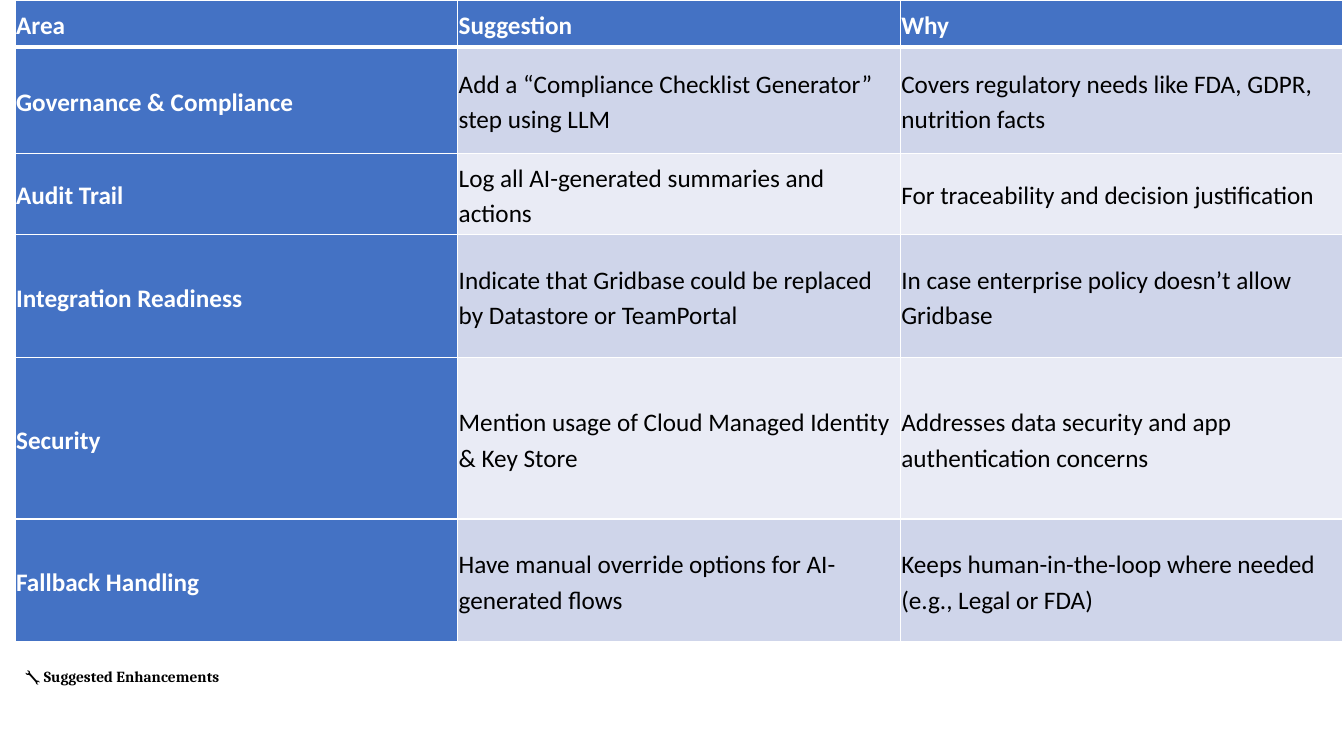
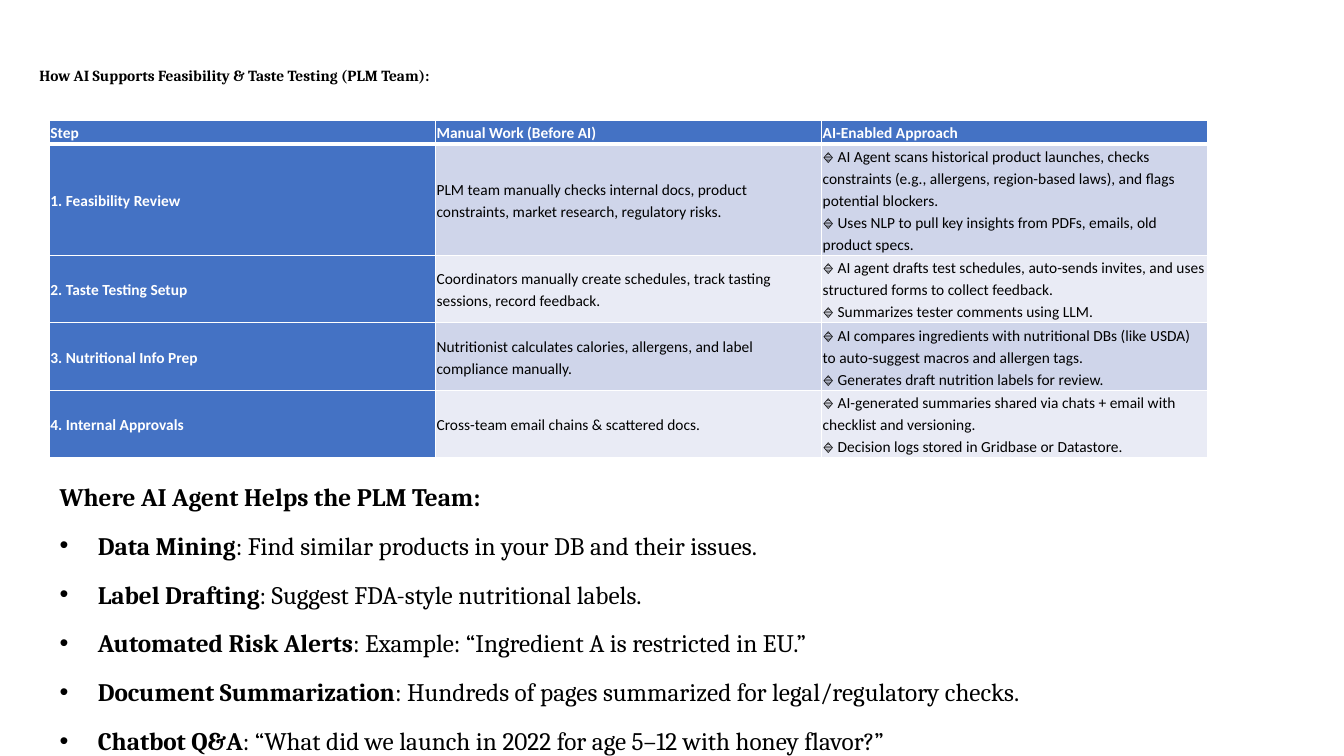
"""Build two slides about AI support for a product team."""
from lxml.etree import SubElement
from pptx import Presentation
from pptx.dml.color import RGBColor as Rgb
from pptx.enum.text import MSO_ANCHOR as Anchor, MSO_AUTO_SIZE as AutoSize, PP_ALIGN as Align
from pptx.oxml.ns import qn
from pptx.util import Inches, Pt

COLORS = {
    "header": "4472C4",
    "band_dark": "CFD5EA",
    "band_light": "E9EBF5",
    "white": "FFFFFF",
    "black": "000000",
}
TABLE_FONT, TEXT_FONT = "Calibri", "Cambria"
SLIDE_WIDTH, SLIDE_HEIGHT = 13.33, 7.5
LINE_SPACING = 1.15
CELL_INSET = 0.01
LIST_INDENT, LIST_TAB = 0.38, 0.5

ENHANCEMENTS = [
    ("Area", "Suggestion", "Why"),
    ("Governance & Compliance",
     "Add a “Compliance Checklist Generator” step using LLM",
     "Covers regulatory needs like FDA, GDPR, nutrition facts"),
    ("Audit Trail",
     "Log all AI-generated summaries and actions",
     "For traceability and decision justification"),
    ("Integration Readiness",
     "Indicate that Gridbase could be replaced by Datastore or TeamPortal",
     "In case enterprise policy doesn’t allow Gridbase"),
    ("Security",
     "Mention usage of Cloud Managed Identity & Key Store",
     "Addresses data security and app authentication concerns"),
    ("Fallback Handling",
     "Have manual override options for AI-generated flows",
     "Keeps human-in-the-loop where needed (e.g., Legal or FDA)"),
]

TESTING_STEPS = [
    ("Step", "Manual Work (Before AI)", "AI-Enabled Approach"),
    ("1. Feasibility Review",
     "PLM team manually checks internal docs, product constraints, market research, "
     "regulatory risks.",
     "🔹 AI Agent scans historical product launches, checks constraints (e.g., allergens, "
     "region-based laws), and flags potential blockers.\n"
     "🔹 Uses NLP to pull key insights from PDFs, emails, old product specs."),
    ("2. Taste Testing Setup",
     "Coordinators manually create schedules, track tasting sessions, record feedback.",
     "🔹 AI agent drafts test schedules, auto-sends invites, and uses structured forms "
     "to collect feedback.\n"
     "🔹 Summarizes tester comments using LLM."),
    ("3. Nutritional Info Prep",
     "Nutritionist calculates calories, allergens, and label compliance manually.",
     "🔹 AI compares ingredients with nutritional DBs (like USDA) to auto-suggest macros "
     "and allergen tags.\n"
     "🔹 Generates draft nutrition labels for review."),
    ("4. Internal Approvals",
     "Cross-team email chains & scattered docs.",
     "🔹 AI-generated summaries shared via chats + email with checklist and versioning.\n"
     "🔹 Decision logs stored in Gridbase or Datastore."),
]

AGENT_HEADING = "Where AI Agent Helps the PLM Team:"
AGENT_BENEFITS = [
    ("Data Mining", ": Find similar products in your DB and their issues."),
    ("Label Drafting", ": Suggest FDA-style nutritional labels."),
    ("Automated Risk Alerts", ": Example: “Ingredient A is restricted in EU.”"),
    ("Document Summarization", ": Hundreds of pages summarized for legal/regulatory checks."),
    ("Chatbot Q&A", ": “What did we launch in 2022 for age 5–12 with honey flavor?”"),
]


def add_span(para, text, font=TEXT_FONT, size=18, color="black", bold=False):
    """Add formatted text to a paragraph."""
    span = para.add_run()
    span.text = text
    span.font.name = font
    span.font.size = Pt(size)
    span.font.bold = bold
    span.font.color.rgb = Rgb.from_string(COLORS[color])


def place(box, left, top, width, height):
    """Move a placeholder and fix its size."""
    box.left, box.top = Inches(left), Inches(top)
    box.width, box.height = Inches(width), Inches(height)
    box.text_frame.word_wrap = True
    box.text_frame.auto_size = AutoSize.NONE


def set_title(page, text, left, top):
    """Fill the title placeholder with a small bold line."""
    box = page.shapes.title
    place(box, left, top, SLIDE_WIDTH - left, 0.3)
    frame = box.text_frame
    frame.vertical_anchor = Anchor.MIDDLE
    frame.margin_top = frame.margin_bottom = 0
    para = frame.paragraphs[0]
    para.alignment = Align.LEFT
    add_span(para, text, size=11, bold=True)


def set_borders(cell, top, bottom):
    """Draw white cell borders, with top and bottom widths in points."""
    props = cell._tc.get_or_add_tcPr()
    for side, width in (("L", 1), ("R", 1), ("T", top), ("B", bottom)):
        line = SubElement(props, qn(f"a:ln{side}"), w=str(Pt(width)))
        fill = SubElement(line, qn("a:solidFill"))
        SubElement(fill, qn("a:srgbClr"), val=COLORS["white"])


def fill_cell(cell, text, row, column, size):
    """Write and colour a table cell according to its row and column."""
    heading = row == 0 or column == 0
    band = "band_dark" if row % 2 else "band_light"
    set_borders(cell, top=3 if row == 1 else 1, bottom=3 if row == 0 else 1)
    cell.fill.solid()
    cell.fill.fore_color.rgb = Rgb.from_string(COLORS["header" if heading else band])
    cell.vertical_anchor = Anchor.MIDDLE
    cell.margin_left = cell.margin_right = Inches(CELL_INSET)
    cell.margin_top = cell.margin_bottom = Inches(CELL_INSET)
    frame = cell.text_frame
    for index, text_line in enumerate(text.split("\n")):
        para = frame.add_paragraph() if index else frame.paragraphs[0]
        para.line_spacing = LINE_SPACING
        add_span(para, text_line, font=TABLE_FONT, size=size,
                 color="white" if heading else "black", bold=heading)


def add_grid(page, rows, left, top, column_width, heights, size):
    """Add a table with equal columns and a coloured first row and column."""
    count = len(rows[0])
    table = page.shapes.add_table(
        len(rows), count, Inches(left), Inches(top),
        Inches(column_width * count), Inches(sum(heights))).table
    table.first_col = True
    for column in table.columns:
        column.width = Inches(column_width)
    for row, (texts, height) in enumerate(zip(rows, heights)):
        table.rows[row].height = Inches(height)
        for column, text in enumerate(texts):
            fill_cell(table.cell(row, column), text, row, column, size)


def set_list_format(para, bullet=None):
    """Set paragraph spacing and an optional hanging bullet."""
    para.line_spacing = LINE_SPACING
    para.space_before = Pt(0)
    para.space_after = Pt(10)
    indent = Inches(LIST_INDENT) if bullet else 0
    props = para._p.get_or_add_pPr()
    props.set("marL", str(indent))
    props.set("indent", str(-indent))
    if bullet:
        SubElement(props, qn("a:buChar"), char=bullet)
        tabs = SubElement(props, qn("a:tabLst"))
        SubElement(tabs, qn("a:tab"), pos=str(Inches(LIST_TAB)), algn="l")
    else:
        SubElement(props, qn("a:buNone"))


def set_body(page, heading, items, left, top, width):
    """Fill the body placeholder with a heading and a bulleted list."""
    box = page.placeholders[1]
    place(box, left, top, width, SLIDE_HEIGHT - top)
    frame = box.text_frame
    frame.vertical_anchor = Anchor.TOP
    para = frame.paragraphs[0]
    set_list_format(para)
    add_span(para, heading, bold=True)
    for term, detail in items:
        para = frame.add_paragraph()
        set_list_format(para, bullet="•")
        add_span(para, term, bold=True)
        add_span(para, detail)


def build_enhancements(deck):
    """Build the slide of suggested enhancements."""
    page = deck.slides.add_slide(deck.slide_layouts.get_by_name("Title Only"))
    set_title(page, "🔧 Suggested Enhancements", left=0.15, top=6.56)
    add_grid(page, ENHANCEMENTS, left=0.15, top=0, column_width=4.39,
             heights=[0.47, 1.05, 0.81, 1.22, 1.6, 1.22], size=18)


def build_testing(deck):
    """Build the slide on feasibility and taste testing."""
    page = deck.slides.add_slide(deck.slide_layouts.get_by_name("Title and Content"))
    set_title(page, "How AI Supports Feasibility & Taste Testing (PLM Team):",
              left=0.29, top=0.6)
    add_grid(page, TESTING_STEPS, left=0.49, top=1.19, column_width=3.83,
             heights=[0.24, 1.1, 0.67, 0.67, 0.67], size=11)
    set_body(page, AGENT_HEADING, AGENT_BENEFITS, left=0.49, top=4.68, width=12.06)


def main():
    """Create and save the deck."""
    deck = Presentation()
    deck.slide_width, deck.slide_height = Inches(SLIDE_WIDTH), Inches(SLIDE_HEIGHT)
    build_enhancements(deck)
    build_testing(deck)
    deck.save("out.pptx")


if __name__ == "__main__":
    main()
